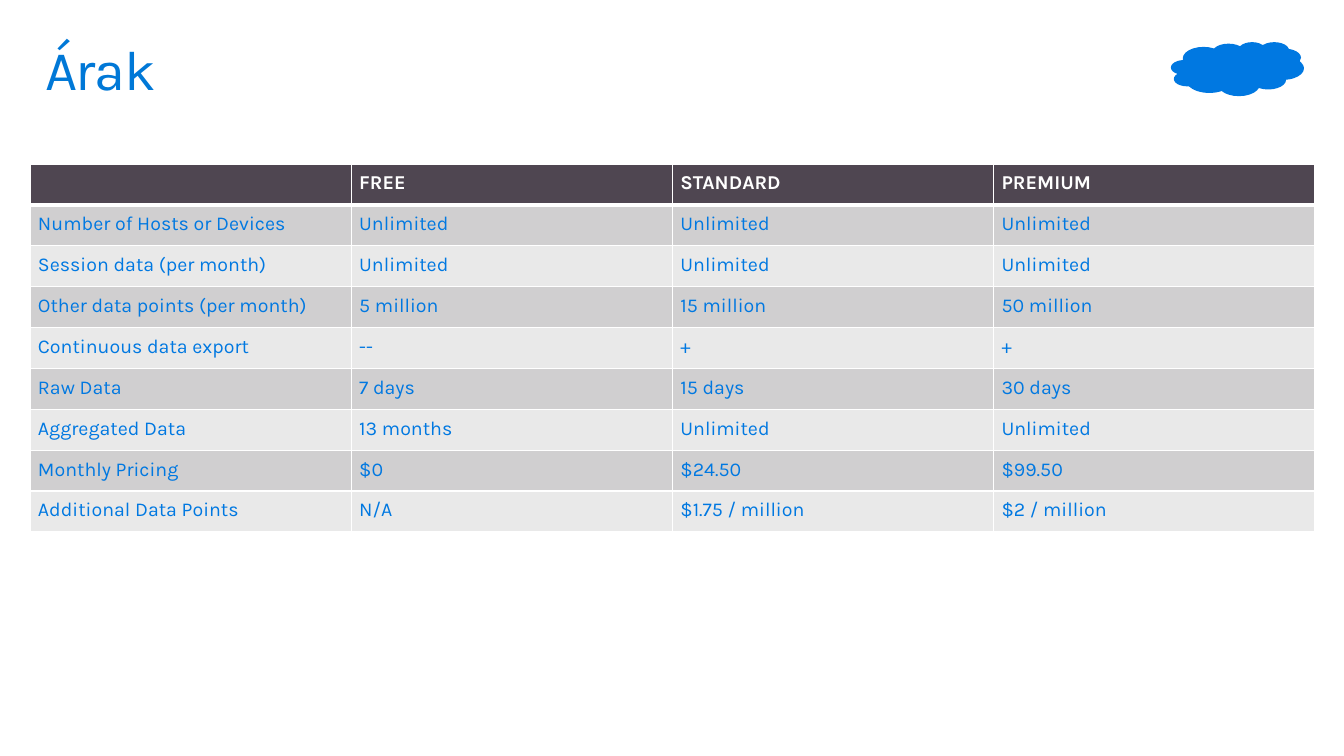
from dataclasses import dataclass

from lxml import etree
from pptx import Presentation
from pptx import util as u
from pptx.dml.color import RGBColor
from pptx.enum import shapes, text
from pptx.oxml.ns import qn

# Content
TITLE = "Árak"
PLANS = ["", "FREE", "STANDARD", "PREMIUM"]
FEATURES = [
    ("Number of Hosts or Devices", "Unlimited", "Unlimited", "Unlimited"),
    ("Session data (per month)", "Unlimited", "Unlimited", "Unlimited"),
    ("Other data points (per month)", "5 million", "15 million", "50 million"),
    ("Continuous data export", "--", "+", "+"),
    ("Raw Data", "7 days", "15 days", "30 days"),
    ("Aggregated Data", "13 months", "Unlimited", "Unlimited"),
    ("Monthly Pricing", "$0", "$24.50", "$99.50"),
    ("Additional Data Points", "N/A", "$1.75 / million", "$2 / million"),
]

# Layout in px: left, top, width, height
SLIDE = (1344, 756)
TITLE_BOX = (29, 32, 1285, 99)
CLOUD_BOX = (1171, 42, 133, 54)
PRICES_BOX = (30, 164, 1285, 368)
TITLE_INSETS = (16, 10, 16, 10)
CELL_INSETS = (8, 8, 8, 8)


@dataclass(frozen=True)
class Theme:
    font: str = "Karla"
    title: str = "0078D7"
    blue: str = "0078E1"
    white: str = "FFFFFF"
    header: str = "4F4651"
    bands: tuple = ("D0CFD0", "E9E9E9")
    title_size: int = 40
    cell_size: int = 14
    thin: int = 1
    thick: int = 3


THEME = Theme()


def px(n):
    return u.Emu(round(n * 914400 / 100.8))


def emu(box):
    return [px(n) for n in box]


def set_insets(holder, insets):
    (holder.margin_left, holder.margin_top,
     holder.margin_right, holder.margin_bottom) = emu(insets)


def style(font, size, color, bold=False):
    font.name, font.size, font.bold = THEME.font, u.Pt(size), bold
    font.color.rgb = RGBColor.from_string(color)


def set_borders(cell, widths):
    props = cell._tc.get_or_add_tcPr()
    for i, (side, width) in enumerate(widths.items()):
        line = etree.Element(qn(f"a:ln{side}"), w=str(u.Pt(width)))
        fill = etree.SubElement(line, qn("a:solidFill"))
        etree.SubElement(fill, qn("a:srgbClr"), val=THEME.white)
        props.insert(i, line)


def add_title(slide):
    title = slide.shapes.title
    title.left, title.top, title.width, title.height = emu(TITLE_BOX)
    frame = title.text_frame
    frame.text = TITLE
    frame.word_wrap = True
    frame.auto_size = text.MSO_AUTO_SIZE.NONE
    frame.vertical_anchor = text.MSO_ANCHOR.TOP
    set_insets(frame, TITLE_INSETS)
    heading = frame.paragraphs[0]
    heading.alignment = text.PP_ALIGN.LEFT
    heading.line_spacing = 0.9
    style(heading.runs[0].font, THEME.title_size, THEME.title)
    heading.runs[0].font._element.set("spc", "-100")


def add_cloud(slide):
    cloud = slide.shapes.add_shape(shapes.MSO_SHAPE.CLOUD, *emu(CLOUD_BOX))
    cloud.shadow.inherit = False
    cloud.fill.solid()
    cloud.fill.fore_color.rgb = RGBColor.from_string(THEME.blue)
    cloud.line.fill.background()


def add_prices(slide):
    rows = [PLANS, *FEATURES]
    prices = slide.shapes.add_table(len(rows), len(PLANS), *emu(PRICES_BOX)).table
    for r, row in enumerate(rows):
        is_header = r == 0
        band = THEME.header if is_header else THEME.bands[(r - 1) % 2]
        color = THEME.white if is_header else THEME.blue
        borders = {"L": THEME.thin, "R": THEME.thin,
                   "T": THEME.thick if r == 1 else THEME.thin,
                   "B": THEME.thick if is_header else THEME.thin}
        for c, value in enumerate(row):
            cell = prices.cell(r, c)
            cell.fill.solid()
            cell.fill.fore_color.rgb = RGBColor.from_string(band)
            set_borders(cell, borders)
            set_insets(cell, CELL_INSETS)
            cell.text_frame.text = value
            line = cell.text_frame.paragraphs[0]
            for run in line.runs:
                style(run.font, THEME.cell_size, color, is_header)
            # Keeps the empty corner cell at the same row height
            etree.SubElement(line._p, qn("a:endParaRPr"), sz=str(THEME.cell_size * 100))


def main():
    deck = Presentation()
    deck.slide_width, deck.slide_height = emu(SLIDE)
    slide = deck.slides.add_slide(deck.slide_layouts.get_by_name("Title Only"))
    add_cloud(slide)
    add_title(slide)
    add_prices(slide)
    deck.save("out.pptx")


if __name__ == "__main__":
    main()
